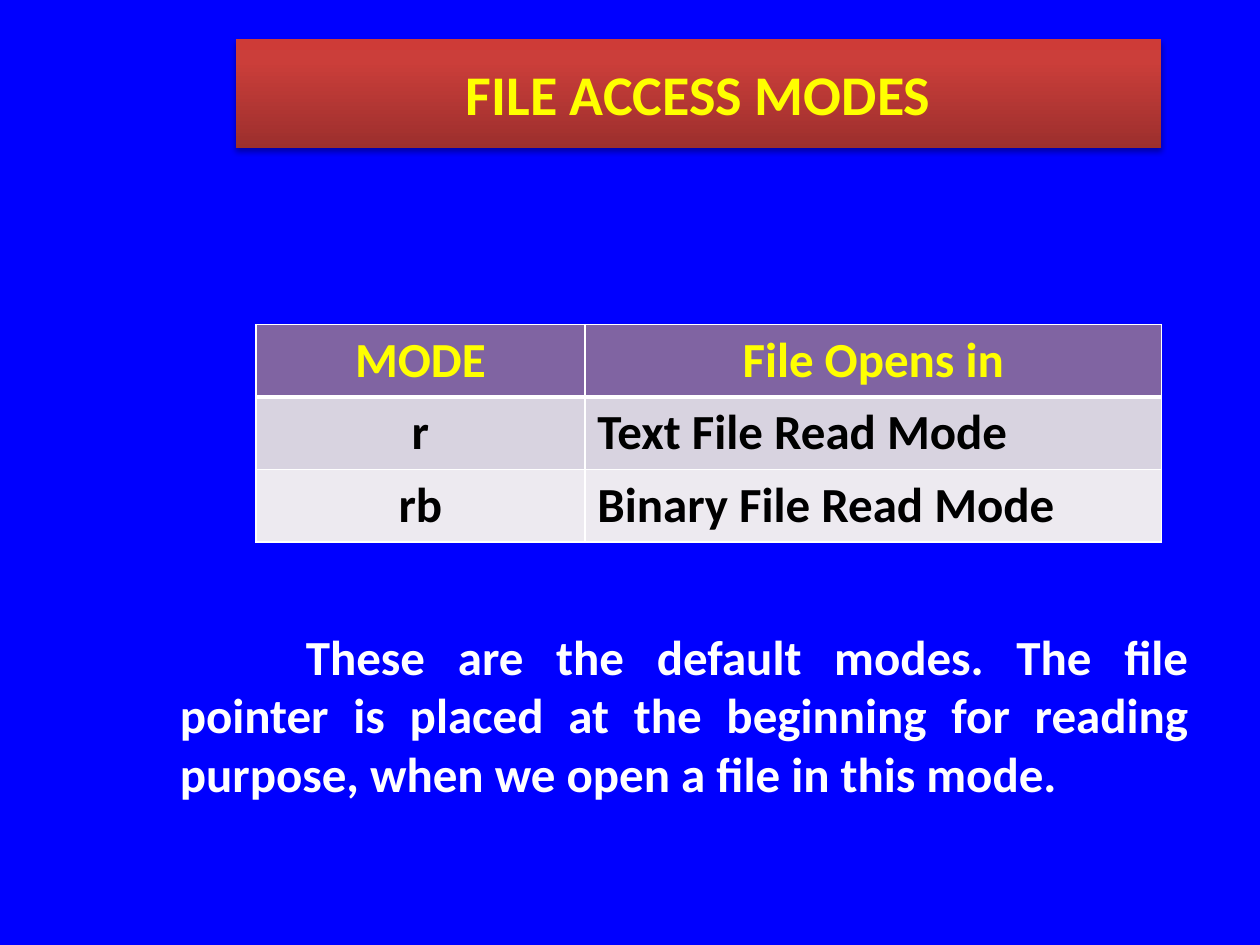
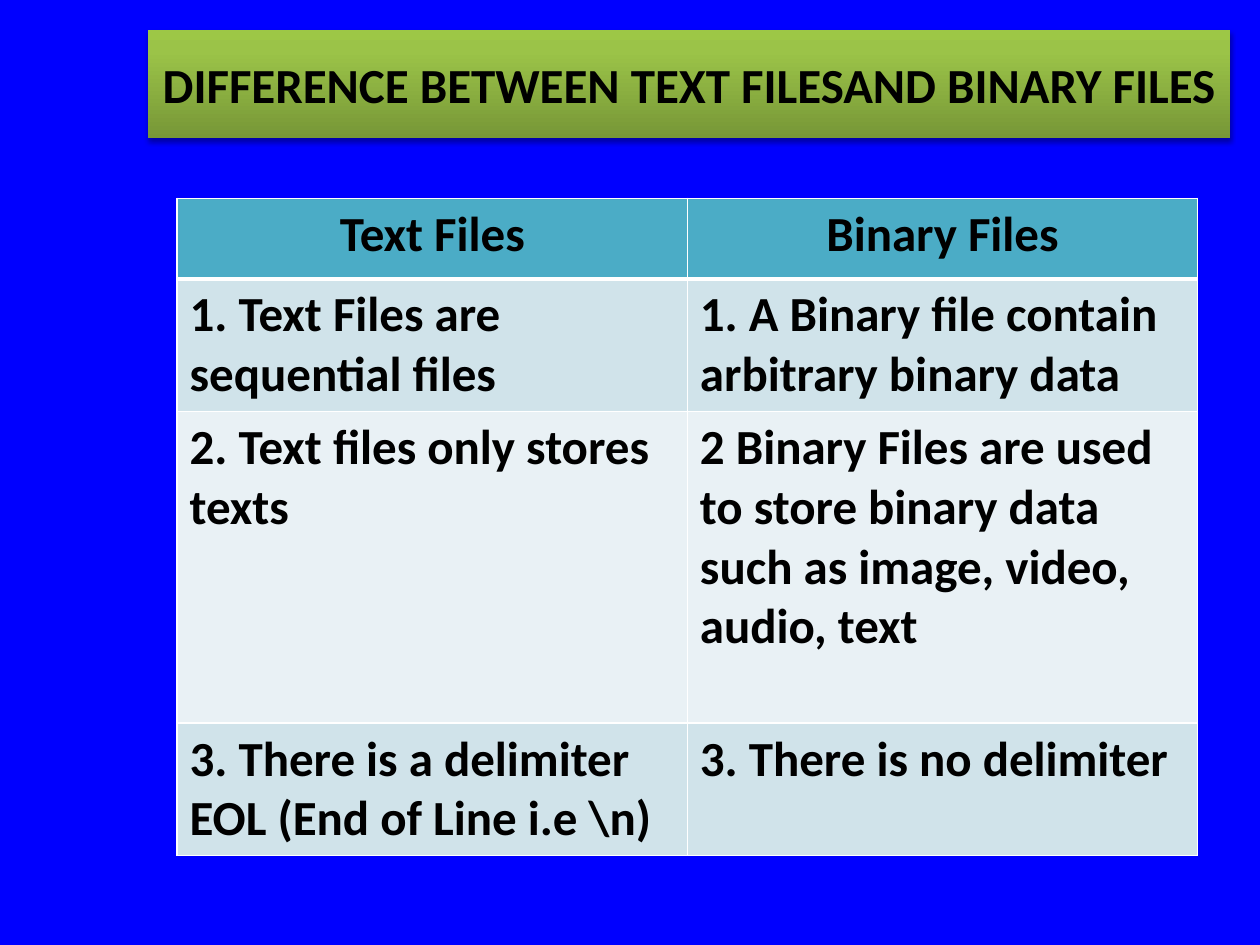
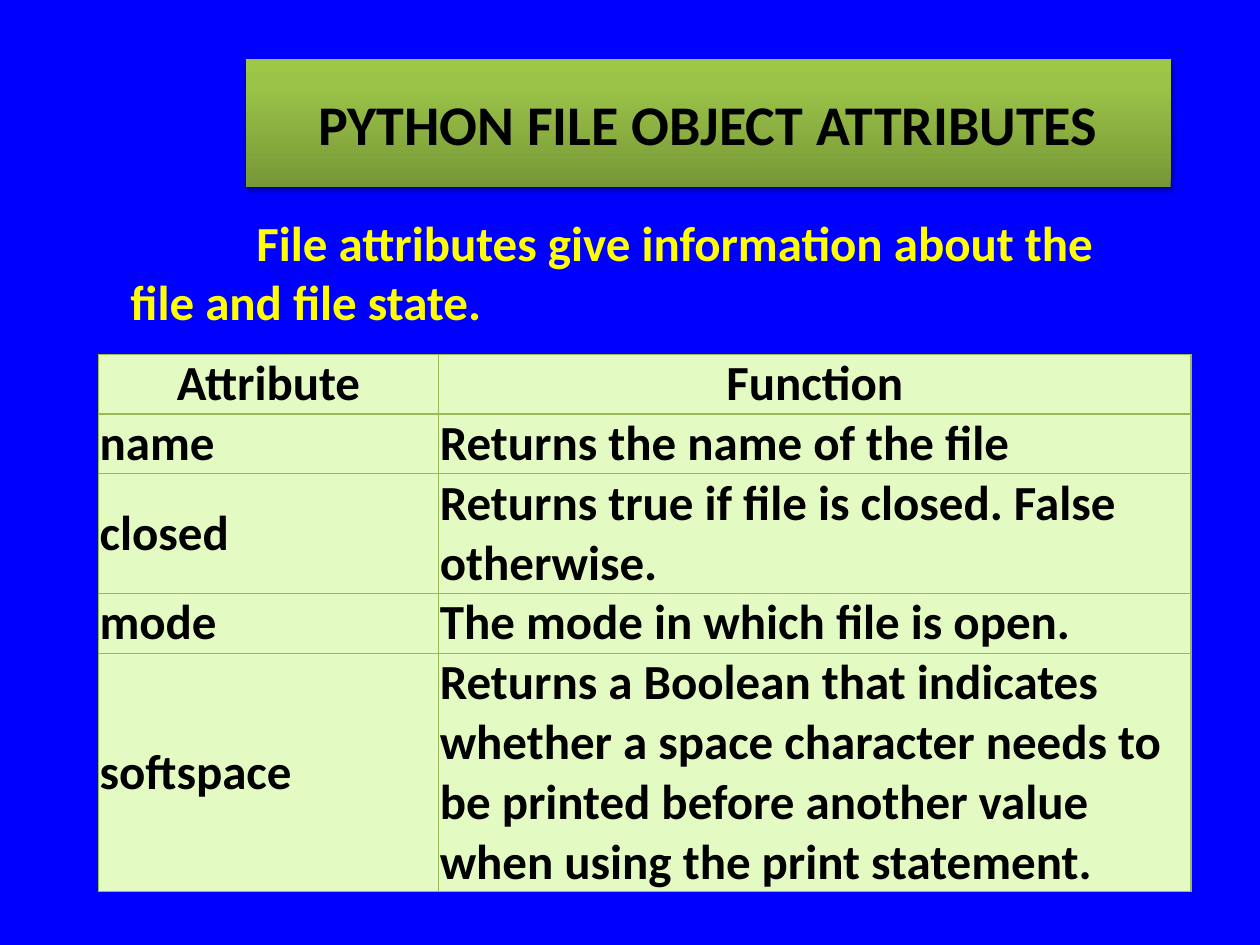
from lxml import etree
from pptx import Presentation
from pptx.dml.color import RGBColor
from pptx.enum import text as t
from pptx.oxml import ns
from pptx.util import Pt

FONT = "Calibri"
HUES = {
    "back": "0000FF", "white": "FFFFFF", "black": "000000", "yellow": "FFFF00",
    "violet": "8064A2", "lilac": "D8D3E0", "mist": "EDEAF0",
    "teal": "4BACC6", "sky": "D0E3EA", "ice": "E9F1F5",
    "lime": "E3FBC3", "leaf": "98B955",
}
# Band gradients run from bottom to top: (percent, colour)
BANDS = {
    "red": [(0, "9C2F2D"), (80, "CB3E3A"), (100, "CE3B37")],
    "green": [(0, "779737"), (80, "9BC348"), (100, "9DC746")],
}
LEFT, MID, FULL = t.PP_ALIGN.LEFT, t.PP_ALIGN.CENTER, t.PP_ALIGN.JUSTIFY

# Table looks: fills are the header, then the alternating body rows
LOOKS = {
    "violet": dict(fills=("violet", "lilac", "mist"), head="yellow", edge="white",
                   thin=1, thick=3, pad=(7.2, 3.6), mids=(0,)),
    "teal": dict(fills=("teal", "sky", "ice"), head="black", edge="white",
                 thin=1, thick=3, pad=(7.2, 3.6), mids=()),
    "lime": dict(fills=("lime", "lime", "lime"), head="black", edge="leaf",
                 thin=0.75, thick=0.75, pad=(0.72, 0), mids=(), anchor=t.MSO_ANCHOR.MIDDLE),
}

SLIDES = [
    dict(
        title=("FILE ACCESS MODES", 32, "red", (134.8, 22.4, 528.6, 62)),
        table=dict(
            look="violet", at=(146.2, 185.5), cols=(188, 329.5), rows=(41.4,) * 3,
            cells=[("MODE", "File Opens in"),
                   ("r", "Text File Read Mode"),
                   ("rb", "Binary File Read Mode")]),
        note=("These are the default modes. The file pointer is placed at the beginning "
              "for reading purpose, when we open a file in this mode.",
              "white", FULL, (95.7, 354.2, 590.4, 109)),
    ),
    dict(
        title=("DIFFERENCE BETWEEN TEXT FILESAND BINARY FILES", 28, "green",
               (84.4, 16.9, 618.6, 62)),
        table=dict(
            look="teal", at=(101.2, 113.4), cols=(291.6,) * 2,
            rows=(46, 75.6, 178.2, 75.6),
            cells=[("Text Files", "Binary Files"),
                   ("1. Text Files are sequential files",
                    "1. A Binary file contain arbitrary binary data"),
                   ("2. Text files only stores texts",
                    "2 Binary Files are used to store binary data such as image, "
                    "video, audio, text"),
                   ("3. There is a delimiter EOL (End of Line i.e \\n)",
                    "3. There is no delimiter")]),
    ),
    dict(
        title=("PYTHON FILE OBJECT ATTRIBUTES", 32, "green", (140.4, 33.7, 528.6, 73.1)),
        note=("File attributes give information about the file and file state.",
              "yellow", LEFT, (67.5, 118, 590.4, 75)),
        table=dict(
            look="lime", at=(56.2, 202.4), cols=(194.4, 430),
            rows=(34.2, 34.2, 68.3, 34.2, 136.2),
            cells=[("Attribute", "Function"),
                   ("name", "Returns the name of the file"),
                   ("closed", "Returns true if file is closed. False otherwise."),
                   ("mode", "The mode in which file is open."),
                   ("softspace", "Returns a Boolean that indicates whether a space "
                    "character needs to be printed before another value when using "
                    "the print statement.")]),
    ),
]


def hue(name):
    return RGBColor.from_string(HUES[name])


def node(home, tag, **attrs):
    return etree.SubElement(home, ns.qn(tag), {k: str(v) for k, v in attrs.items()})


def write(frame, words, size, ink, align):
    frame.text = words
    para = frame.paragraphs[0]
    para.alignment = align
    font = para.font
    font.name, font.size, font.bold = FONT, Pt(size), True
    font.color.rgb = hue(ink)
    return para


def place(shape, box):
    shape.left, shape.top, shape.width, shape.height = map(Pt, box)


def add_title(slide, words, size, band, box):
    shape = slide.shapes.title
    place(shape, box)
    props = shape.element.spPr
    grad = node(props, "a:gradFill", rotWithShape=1)
    stops = node(grad, "a:gsLst")
    for pos, code in BANDS[band]:
        node(node(stops, "a:gs", pos=pos * 1000), "a:srgbClr", val=code)
    node(grad, "a:lin", ang=270 * 60000, scaled=0)
    shade = node(node(props, "a:effectLst"), "a:outerShdw", blurRad=Pt(3.1),
                 dist=Pt(1.8), dir=90 * 60000, rotWithShape=0)
    node(node(shade, "a:srgbClr", val=HUES["black"]), "a:alpha", val=35000)
    frame = shape.text_frame
    frame.auto_size = t.MSO_AUTO_SIZE.NONE
    frame.vertical_anchor = t.MSO_ANCHOR.MIDDLE
    ink = "yellow" if band == "red" else "black"
    write(frame, words, size, ink, MID)


def add_note(slide, words, ink, align, box):
    frame = slide.shapes.add_textbox(*map(Pt, box)).text_frame
    frame.word_wrap = True
    para = write(frame, words, 28, ink, align)
    props = para._p.get_or_add_pPr()
    props.set("marL", "0")
    props.set("indent", str(Pt(72)))


def edge_cell(cell, ink, widths):
    """Draw the left, right, top and bottom borders, ahead of the fill."""
    props = cell._tc.get_or_add_tcPr()
    for i, (side, width) in enumerate(zip("LRTB", widths)):
        line = node(props, "a:ln" + side, w=Pt(width))
        node(node(line, "a:solidFill"), "a:srgbClr", val=HUES[ink])
        props.insert(i, line)


def add_table(slide, look, at, cols, rows, cells):
    style = LOOKS[look]
    thin, thick = style["thin"], style["thick"]
    box = (*at, sum(cols), sum(rows))
    table = slide.shapes.add_table(len(rows), len(cols), *map(Pt, box)).table
    table.first_row = table.horz_banding = False
    for col, width in zip(table.columns, cols):
        col.width = Pt(width)
    for r, (row, height) in enumerate(zip(table.rows, rows)):
        row.height = Pt(height)
        shade = style["fills"][0 if r == 0 else 2 - r % 2]
        for c, cell in enumerate(row.cells):
            cell.fill.solid()
            cell.fill.fore_color.rgb = hue(shade)
            edge_cell(cell, style["edge"],
                      (thin, thin, thick if r == 1 else thin, thick if r == 0 else thin))
            side, tall = map(Pt, style["pad"])
            cell.margin_left = cell.margin_right = side
            cell.margin_top = cell.margin_bottom = tall
            cell.vertical_anchor = style.get("anchor", t.MSO_ANCHOR.TOP)
            write(cell.text_frame, cells[r][c], 28, "black" if r else style["head"],
                  MID if r == 0 or c in style["mids"] else LEFT)


def main():
    deck = Presentation()
    deck.slide_width, deck.slide_height = Pt(720), Pt(540)
    back = deck.slide_master.background.fill
    back.solid()
    back.fore_color.rgb = hue("back")
    for part in SLIDES:
        slide = deck.slides.add_slide(deck.slide_layouts[5])
        add_title(slide, *part["title"])
        if "note" in part:
            add_note(slide, *part["note"])
        add_table(slide, **part["table"])
    deck.save("out.pptx")


if __name__ == "__main__":
    main()
